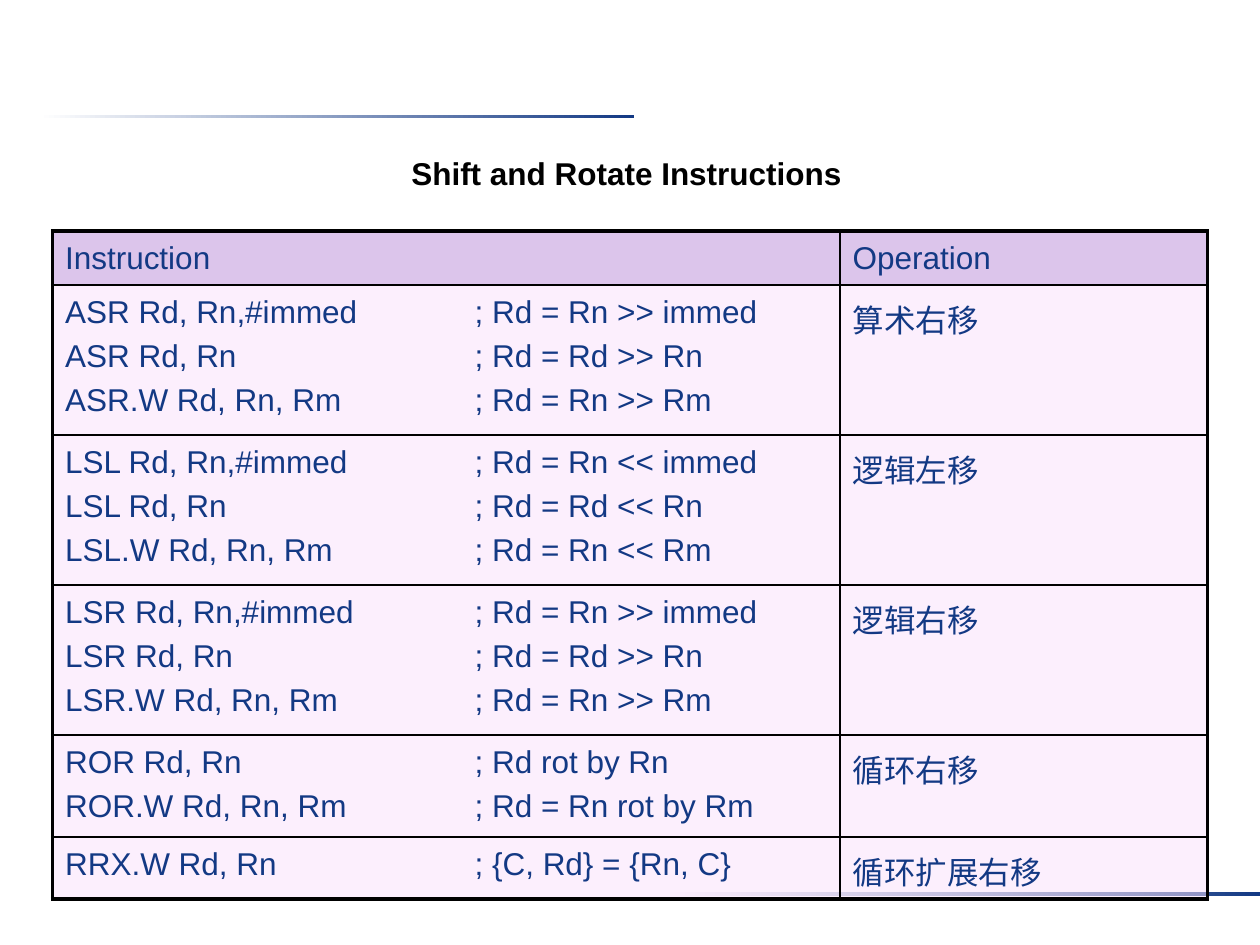
from dataclasses import dataclass

from lxml import etree
from pptx import Presentation
from pptx.dml.color import RGBColor
from pptx.enum.shapes import MSO_SHAPE
from pptx.enum.text import MSO_AUTO_SIZE
from pptx.oxml.ns import qn
from pptx.util import Pt

RECTANGLE = MSO_SHAPE.RECTANGLE
GROW_SHAPE = MSO_AUTO_SIZE.SHAPE_TO_FIT_TEXT

COLUMN_WIDTHS = [450, 210]
ROW_HEIGHTS = [30.9, 85.7, 85.7, 85.7, 58.3, 35.4]
ROWS = [
    ("Instruction", "Operation"),
    ("ASR Rd, Rn,#immed\t; Rd = Rn >> immed\n"
     "ASR Rd, Rn\t; Rd = Rd >> Rn\n"
     "ASR.W Rd, Rn, Rm\t; Rd = Rn >> Rm", "算术右移"),
    ("LSL Rd, Rn,#immed\t; Rd = Rn << immed\n"
     "LSL Rd, Rn\t; Rd = Rd << Rn\n"
     "LSL.W Rd, Rn, Rm\t; Rd = Rn << Rm", "逻辑左移"),
    ("LSR Rd, Rn,#immed\t; Rd = Rn >> immed\n"
     "LSR Rd, Rn\t; Rd = Rd >> Rn\n"
     "LSR.W Rd, Rn, Rm\t; Rd = Rn >> Rm", "逻辑右移"),
    ("ROR Rd, Rn\t; Rd rot by Rn\n"
     "ROR.W Rd, Rn, Rm\t; Rd = Rn rot by Rm", "循环右移"),
    ("RRX.W Rd, Rn\t; {C, Rd} = {Rn, C}", "循环扩展右移"),
]


@dataclass(frozen=True)
class Theme:
    font: str = "Arial"
    size: float = 18
    navy: str = "133984"
    black: str = "000000"
    white: str = "FFFFFF"
    header: str = "BB8CD8"
    body: str = "FBE0FC"
    cell_opacity: int = 50
    outer_line: float = 2.25
    inner_line: float = 1
    comment_tab: float = 234
    line_spacing: float = 1.1
    paragraph_gap: float = 3


class SlideBuilder:
    def __init__(self, slide, theme):
        self.slide = slide
        self.theme = theme

    def format_runs(self, paragraph, color, bold=False):
        for run in paragraph.runs:
            run.font.name = self.theme.font
            run.font.size = Pt(self.theme.size)
            run.font.bold = bold
            run.font.color.rgb = RGBColor.from_string(color)

    def gradient_bar(self, left, top, width, height):
        bar = self.slide.shapes.add_shape(
            RECTANGLE, Pt(left), Pt(top), Pt(width), Pt(height))
        bar.shadow.inherit = False
        bar.line.fill.background()
        bar.fill.gradient()
        bar.fill.gradient_angle = 0
        for stop, color in zip(bar.fill.gradient_stops, (self.theme.white, self.theme.navy)):
            stop.color.rgb = RGBColor.from_string(color)

    def title(self, text, left, top, width, height):
        box = self.slide.shapes.add_textbox(Pt(left), Pt(top), Pt(width), Pt(height))
        frame = box.text_frame
        frame.text = text
        frame.word_wrap = False
        frame.auto_size = GROW_SHAPE
        self.format_runs(frame.paragraphs[0], self.theme.black, bold=True)

    def table(self, rows, left, top, column_widths, row_heights):
        table = self.slide.shapes.add_table(
            len(rows), len(column_widths), Pt(left), Pt(top),
            Pt(sum(column_widths)), Pt(sum(row_heights))).table
        table.first_row = False
        table.horz_banding = False
        for column, width in zip(table.columns, column_widths):
            column.width = Pt(width)
        for row, height in zip(table.rows, row_heights):
            row.height = Pt(height)
        last_row, last_column = len(rows) - 1, len(column_widths) - 1
        for i, texts in enumerate(rows):
            for j, text in enumerate(texts):
                cell = table.cell(i, j)
                self.cell_text(cell, text)
                self.cell_fill(cell, self.theme.body if i else self.theme.header)
                self.cell_borders(cell, {"lnL": j == 0, "lnR": j == last_column,
                                         "lnT": i == 0, "lnB": i == last_row})

    def cell_text(self, cell, text):
        cell.text_frame.text = text
        for index, paragraph in enumerate(cell.text_frame.paragraphs):
            if "\t" in paragraph.text:
                tabs = etree.SubElement(paragraph._p.get_or_add_pPr(), qn("a:tabLst"))
                etree.SubElement(tabs, qn("a:tab"), algn="l",
                                 pos=str(Pt(self.theme.comment_tab)))
            paragraph.line_spacing = self.theme.line_spacing
            if index:
                paragraph.space_before = Pt(self.theme.paragraph_gap)
            self.format_runs(paragraph, self.theme.navy)

    def cell_fill(self, cell, color):
        cell.fill.solid()
        cell.fill.fore_color.rgb = RGBColor.from_string(color)
        color_element = cell._tc.tcPr.find(".//" + qn("a:srgbClr"))
        etree.SubElement(color_element, qn("a:alpha"),
                         val=str(self.theme.cell_opacity * 1000))

    def cell_borders(self, cell, outer_sides):
        """Draw all four sides; those marked True get the thick outer line."""
        for position, (side, is_outer) in enumerate(outer_sides.items()):
            width = self.theme.outer_line if is_outer else self.theme.inner_line
            line = etree.Element(qn("a:" + side), w=str(Pt(width)))
            fill = etree.SubElement(line, qn("a:solidFill"))
            etree.SubElement(fill, qn("a:srgbClr"), val=self.theme.black)
            cell._tc.tcPr.insert(position, line)


def main():
    presentation = Presentation()
    presentation.slide_width = Pt(720)
    presentation.slide_height = Pt(540)
    slide = presentation.slides.add_slide(presentation.slide_layouts[6])
    builder = SlideBuilder(slide, Theme())
    builder.gradient_bar(22.5, 65.5, 340, 2.2)
    builder.gradient_bar(380, 510, 340, 2.2)
    builder.title("Shift and Rotate Instructions", 228, 84.5, 260.5, 29)
    builder.table(ROWS, 30, 132, COLUMN_WIDTHS, ROW_HEIGHTS)
    presentation.save("out.pptx")


if __name__ == "__main__":
    main()
